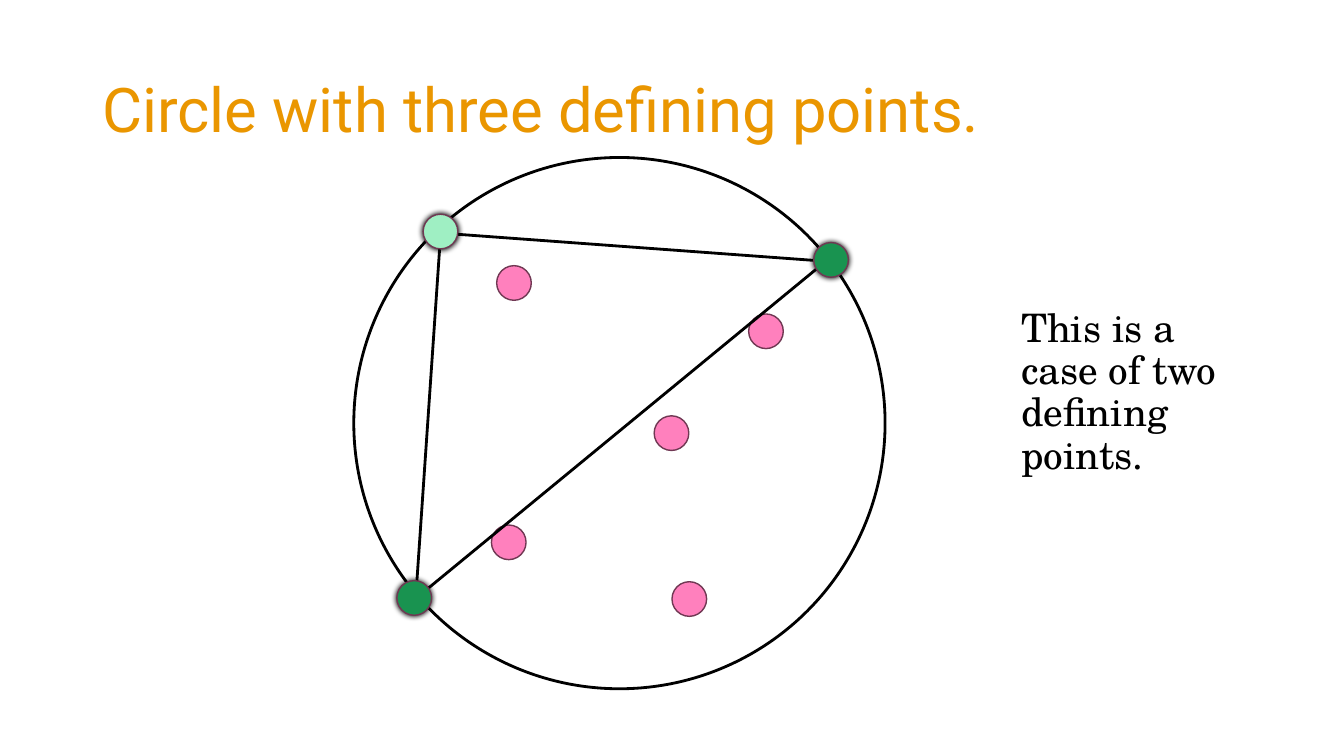
from dataclasses import dataclass

from lxml import etree
from pptx import Presentation
from pptx.dml.color import RGBColor
from pptx.enum.shapes import MSO_CONNECTOR, MSO_SHAPE
from pptx.enum.text import MSO_ANCHOR
from pptx.oxml.ns import qn
from pptx.util import Pt

PX = 9525
OVAL = MSO_SHAPE.OVAL
STRAIGHT = MSO_CONNECTOR.STRAIGHT
TOP = MSO_ANCHOR.TOP
MIDDLE = MSO_ANCHOR.MIDDLE
DOT = 33


@dataclass(frozen=True)
class Theme:
    title: str = "EA9600"
    ink: str = "000000"
    pink: str = "FF80BD"
    green: str = "199350"
    mint: str = "9FEFC3"
    dot_line: str = "703853"
    title_font: str = "Roboto"
    note_font: str = "TeX Gyre Schola"
    title_size: int = 44
    note_size: int = 28


THEME = Theme()


def rgb(color):
    return RGBColor.from_string(color)


def set_line(line, color, width):
    line.color.rgb = rgb(color)
    line.width = Pt(width)


def add_text(s, box, text, font, size, color, anchor):
    tf = s.shapes.add_textbox(*(v * PX for v in box)).text_frame
    tf.word_wrap = True
    tf.vertical_anchor = anchor
    p = tf.paragraphs[0]
    p.line_spacing = 0.9
    r = p.add_run()
    r.text = text
    r.font.name = font
    r.font.size = Pt(size)
    r.font.color.rgb = rgb(color)


def add_circle(s, x, y, size, line_color, line_width, fill=None):
    sp = s.shapes.add_shape(OVAL, x * PX, y * PX, size * PX, size * PX)
    sp.shadow.inherit = False
    if fill:
        sp.fill.solid()
        sp.fill.fore_color.rgb = rgb(fill)
    else:
        sp.fill.background()
    set_line(sp.line, line_color, line_width)
    return sp


def add_dot(s, x, y, fill):
    return add_circle(s, x, y, DOT, THEME.dot_line, 1, fill)


def add_glow_dot(s, x, y, fill):
    sp = add_dot(s, x, y, fill)
    effects = sp._element.spPr.find(qn("a:effectLst"))
    shadow = etree.SubElement(effects, qn("a:outerShdw"), blurRad=str(Pt(4)),
                              dist="0", dir="0", algn="ctr", rotWithShape="0")
    etree.SubElement(shadow, qn("a:srgbClr"), val=THEME.ink)


def add_side(s, start, end):
    points = (v * PX for v in start + end)
    line = s.shapes.add_connector(STRAIGHT, *points)
    set_line(line.line, THEME.ink, 2)
    etree.SubElement(line._element.spPr, qn("a:effectLst"))


def main():
    prs = Presentation()
    prs.slide_width = 1280 * PX
    prs.slide_height = 720 * PX
    s = prs.slides.add_slide(prs.slide_layouts[6])

    add_text(s, (88, 38, 1104, 139), "Circle with three defining points.",
             THEME.title_font, THEME.title_size, THEME.title, MIDDLE)
    add_text(s, (963, 289, 239, 226), "This is a case of two defining points.",
             THEME.note_font, THEME.note_size, THEME.ink, TOP)

    for x, y in ((468, 500), (623, 396), (640, 554), (473, 253), (713, 299)):
        add_dot(s, x, y, THEME.pink)
    add_circle(s, 337, 150, 506, THEME.ink, 2)

    for start, end in (((396, 570), (790, 246)),
                       ((420, 222), (789, 249)),
                       ((396, 569), (420, 218))):
        add_side(s, start, end)
    for x, y, fill in ((775, 231, THEME.green),
                       (378, 553, THEME.green),
                       (403, 204, THEME.mint)):
        add_glow_dot(s, x, y, fill)

    prs.save("out.pptx")


if __name__ == "__main__":
    main()
